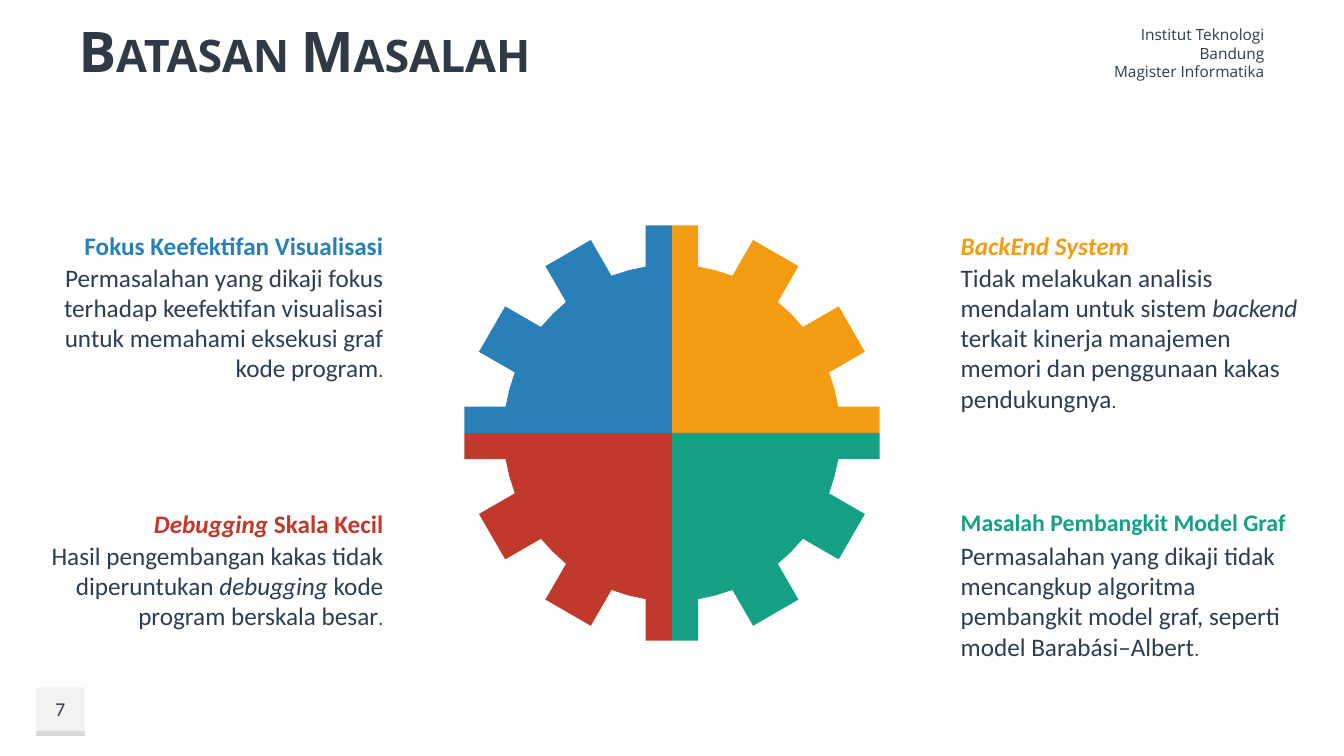
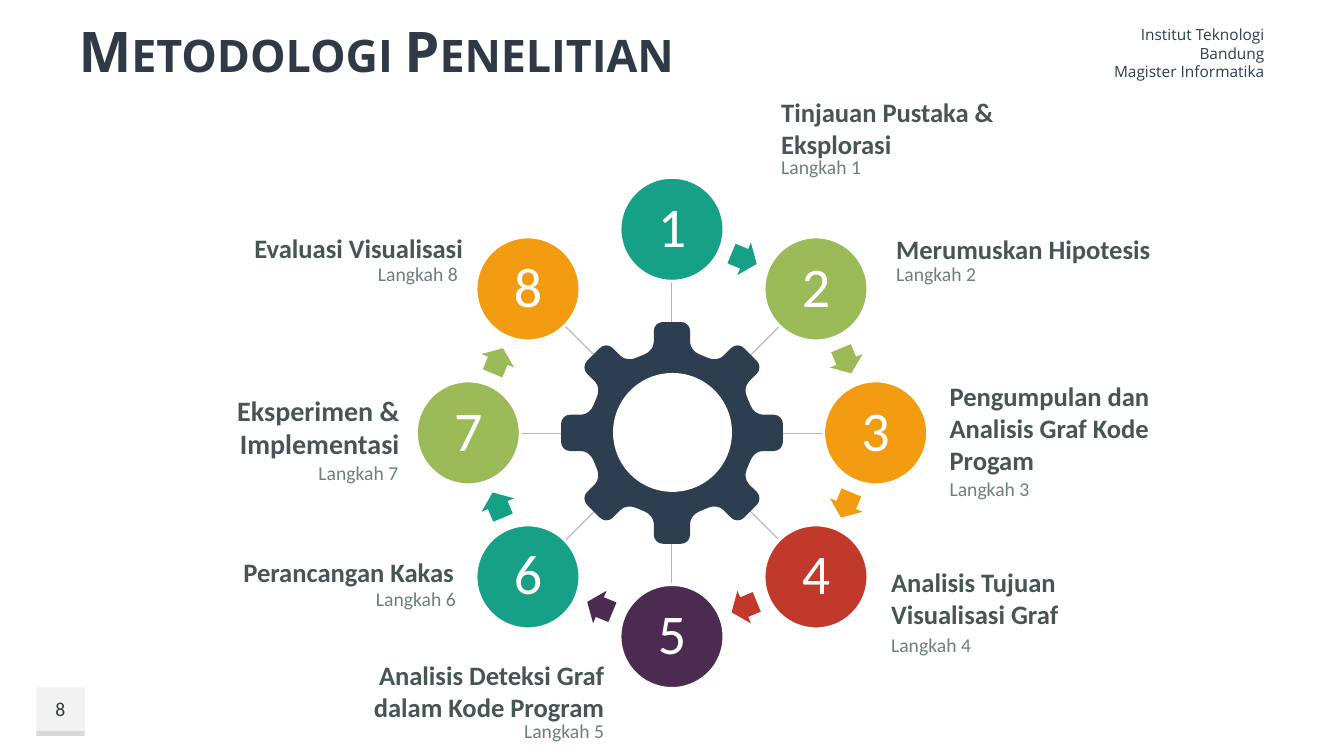
from lxml import etree
from pptx import Presentation
from pptx.dml.color import RGBColor
from pptx.enum.shapes import MSO_CONNECTOR, MSO_SHAPE
from pptx.enum.text import MSO_ANCHOR, PP_ALIGN
from pptx.oxml.ns import qn
from pptx.util import Inches, Pt

LEFT, CENTER, RIGHT = PP_ALIGN.LEFT, PP_ALIGN.CENTER, PP_ALIGN.RIGHT
TOP, MIDDLE = MSO_ANCHOR.TOP, MSO_ANCHOR.MIDDLE
RECT, OVAL, ARROW = MSO_SHAPE.RECTANGLE, MSO_SHAPE.OVAL, MSO_SHAPE.RIGHT_ARROW
STRAIGHT = MSO_CONNECTOR.STRAIGHT
rgb = RGBColor.from_string

INK, NAVY, WHITE = "2F3A46", "2C3E50", "FFFFFF"
BLUE, ORANGE, TEAL, RED = "2980B9", "F39C12", "16A085", "C0392B"
GREEN, PURPLE = "9BBB59", "4B2C50"
HEADING, STEP, SPOKE = "485556", "6C7F80", "B5B5B5"
TITLE = {"name": "Open Sans", "size": Pt(40), "bold": True}
HEADER = {"name": "Open Sans", "size": Pt(11)}
BODY = {"name": "Calibri", "size": Pt(18)}
SMALL = {"name": "Calibri", "size": Pt(14)}
DIGIT = {"name": "Calibri", "size": Pt(40)}
ITALIC = {"italic": True}
DOT = (".", {"size": Pt(14)})


def paint(sp, fill, line=None):
    """Flat fill, no shadow, optional 2 pt outline."""
    sp.shadow.inherit = False
    sp.fill.solid()
    sp.fill.fore_color.rgb = rgb(fill)
    if line:
        sp.line.color.rgb = rgb(line)
        sp.line.width = Pt(2)
    else:
        sp.line.fill.background()
    return sp


def write(sp, lines, color, fmt, align=LEFT, anchor=TOP):
    """Each line is a list of (text, format changes) runs."""
    tf = sp.text_frame
    tf.word_wrap = True
    tf.vertical_anchor = anchor
    for i, runs in enumerate(lines):
        p = tf.paragraphs[0] if i == 0 else tf.add_paragraph()
        p.alignment = align
        for text, changes in runs:
            r = p.add_run()
            r.text = text
            r.font.color.rgb = rgb(color)
            for key, value in {**fmt, **changes}.items():
                setattr(r.font, key, value)
    return tf


prs = Presentation()
prs.slide_width, prs.slide_height = Inches(13.33), Inches(7.5)

# Shared parts: page number, header panel, title
slides = []
for number, title in ((7, "Batasan Masalah"), (8, "Metodologi Penelitian")):
    s = prs.slides.add_slide(prs.slide_layouts[5])
    slides.append(s)
    for box, color in (((0.36, 6.82, 0.48, 0.48), "F2F2F2"),
                       ((0.36, 7.25, 0.48, 0.05), "D9D9D9"),
                       ((11.35, 0.1, 1.74, 0.79), WHITE)):
        panel = paint(s.shapes.add_shape(RECT, *map(Inches, box)), color)
    tint = panel._element.spPr.find(".//" + qn("a:srgbClr"))
    etree.SubElement(tint, qn("a:alpha")).set("val", "60000")

    sp = s.shapes.add_textbox(*map(Inches, (0.36, 6.82, 0.48, 0.43)))
    write(sp, [[(str(number), {})]], INK, SMALL, CENTER, MIDDLE)

    sp = s.shapes.title
    sp.left, sp.top, sp.width, sp.height = map(Inches, (0.68, 0.16, 10.5, 0.68))
    tf = write(sp, [[(title, {})]], INK, TITLE, LEFT, MIDDLE)
    tf.paragraphs[0].runs[0].font._element.set("cap", "small")

    sp = s.shapes.add_shape(RECT, *map(Inches, (10.92, 0.29, 1.72, 0.47)))
    write(paint(sp, WHITE),
          [[("Institut Teknologi Bandung", {})], [("Magister Informatika", {})]],
          NAVY, HEADER, RIGHT, MIDDLE)

# Points are complex numbers: 1j ** (angle / 90) turns them clockwise
center = complex(13.33 / 2, 8.59 / 2)

# Slide 7: gear of 12 teeth in four quarters
s = slides[0]
half, root, tip = 0.26, 1.65, 2.06
for quarter, color in enumerate((ORANGE, TEAL, RED, BLUE)):
    outline = [0j]
    for k in range(4):
        rise = [complex(-half, -root), complex(-half, -tip)] if k else [complex(0, -tip)]
        fall = [complex(half, -tip), complex(half, -root)] if k < 3 else [complex(0, -tip)]
        arc = [-1.67j * 1j ** (15 / 90)] if k < 3 else []
        outline += [p * 1j ** (quarter + k / 3) for p in rise + fall + arc]
    points = [(Inches((center + p).real), Inches((center + p).imag)) for p in outline]
    builder = s.shapes.build_freeform(*points[0])
    builder.add_line_segments(points[1:])
    paint(builder.convert_to_shape(), color)

# Slide 7: a heading and a text beside each quarter
limits = [
    (9.43, 2.24, 2.55, 1.62, LEFT, ORANGE, [("BackEnd System", ITALIC)],
     [("Tidak melakukan analisis mendalam untuk sistem ", {}), ("backend", ITALIC),
      (" terkait kinerja manajemen memori dan penggunaan kakas pendukungnya", {}), DOT]),
    (9.43, 4.99, 5.31, 1.31, LEFT, TEAL,
     [("Masalah Pembangkit Model Graf", {"size": Pt(17)})],
     [("Permasalahan yang dikaji tidak mencangkup algoritma pembangkit model graf, "
       "seperti model Barabási–Albert", {}), DOT]),
    (0.35, 2.24, 2.55, 1.31, RIGHT, BLUE, [("Fokus Keefektifan Visualisasi", {})],
     [("Permasalahan yang dikaji fokus terhadap keefektifan visualisasi untuk "
       "memahami eksekusi graf kode program", {}), DOT]),
    (0.35, 4.99, 5.31, 1.01, RIGHT, RED, [("Debugging", ITALIC), (" Skala Kecil", {})],
     [("Hasil pengembangan kakas tidak diperuntukan ", {}), ("debugging", ITALIC),
      (" kode program berskala besar", {}), DOT]),
]
for left, top, text_top, height, align, color, heading, text in limits:
    sp = s.shapes.add_textbox(*map(Inches, (left, top, 3.55, 0.4)))
    write(sp, [heading], color, {**BODY, "bold": True}, align)
    sp = s.shapes.add_textbox(*map(Inches, (left, text_top, 3.55, height)))
    write(sp, [text], NAVY, BODY, align)

# Slide 8: spokes
s = slides[1]
for ends in ((7.89, 3.08, 5.33, 5.64), (8.01, 5.64, 5.33, 2.96),
             (6.66, 6.03, 6.66, 2.47), (8.56, 4.3, 4.86, 4.3)):
    line = s.shapes.add_connector(STRAIGHT, *map(Inches, ends))
    line.line.color.rgb = rgb(SPOKE)
    line.line.width = Pt(0.75)
    etree.SubElement(line._element.spPr, qn("a:effectLst"))

# Slide 8: ring of numbered steps, an arrow after each but the last
ring = (TEAL, GREEN, ORANGE, RED, PURPLE, TEAL, GREEN, ORANGE)
for k, color in enumerate(ring):
    at = center - 2.02j * 1j ** (k / 2)
    sp = s.shapes.add_shape(OVAL, Inches(at.real - 1.03 / 2), Inches(at.imag - 1.03 / 2),
                            Inches(1.03), Inches(1.03))
    paint(sp, color, WHITE)
    sp = s.shapes.add_textbox(Inches(at.real - 0.73 / 2), Inches(at.imag - 0.73 / 2),
                              Inches(0.73), Inches(0.73))
    tf = write(sp, [[(str(k + 1), {})]], WHITE, DIGIT, CENTER, MIDDLE)
    tf.margin_left = tf.margin_right = tf.margin_top = tf.margin_bottom = Inches(0.06)
    tf.paragraphs[0].line_spacing = 0.9
    if k == len(ring) - 1:
        break
    at = center - 1.87j * 1j ** (k / 2 + 0.25)
    sp = s.shapes.add_shape(ARROW, Inches(at.real - 0.27 / 2), Inches(at.imag - 0.35 / 2),
                            Inches(0.27), Inches(0.35))
    sp.adjustments[0], sp.adjustments[1] = 0.6, 0.5
    sp.rotation = 22.5 + 45 * k
    paint(sp, color)

# Slide 8: hub gear of 8 rounded teeth, each the mirror of its right half
right = [
    0.09 - 1.1j, 0.14 - 1.1j, 0.18 - 1.06j, 0.18 - 1.01j,
    0.18 - 0.9j, 0.18 - 0.85j, 0.22 - 0.8j, 0.27 - 0.78j,
]
tooth = [-p.conjugate() for p in reversed(right)] + right
hub = [center + p * 1j ** (k / 2) for k in range(8) for p in tooth]
points = [(Inches(p.real), Inches(p.imag)) for p in hub]
builder = s.shapes.build_freeform(*points[0])
builder.add_line_segments(points[1:])
sp = paint(builder.convert_to_shape(), NAVY)

# Of every four points, the last three make one Bezier curve
outline = next(sp._element.iter(qn("a:path")))
segments = outline.findall(qn("a:lnTo"))
for i in range(0, len(segments), 4):
    curve = etree.Element(qn("a:cubicBezTo"))
    segments[i].addprevious(curve)
    for segment in segments[i:i + 3]:
        curve.append(segment[0])
        outline.remove(segment)

sp = s.shapes.add_shape(OVAL, *map(Inches, (6.08, 3.7, 1.18, 1.18)))
paint(sp, WHITE)

# Slide 8: step name (left, top, height) and step number (left, top)
steps = [
    ("Tinjauan Pustaka & Eksplorasi", 19, LEFT, (7.65, 0.9, 0.74), (7.65, 1.49)),
    ("Merumuskan Hipotesis", 19, LEFT, (8.79, 2.26, 0.42), (8.79, 2.55)),
    ("Pengumpulan dan Analisis Graf Kode Progam", 19, LEFT,
     (9.32, 3.72, 1.06), (9.32, 4.68)),
    ("Analisis Tujuan Visualisasi Graf", 19, LEFT, (8.74, 5.57, 0.74), (8.74, 6.23)),
    ("Analisis Deteksi Graf dalam Kode Program", 19, RIGHT,
     (3.25, 6.49, 0.74), (3.25, 7.08)),
    ("Perancangan Kakas", 19, RIGHT, (1.76, 5.47, 0.42), (1.78, 5.77)),
    ("Eksperimen & Implementasi", 20, RIGHT, (1.22, 3.85, 0.77), (1.21, 4.52)),
    ("Evaluasi Visualisasi", 19, RIGHT, (1.85, 2.25, 0.42), (1.8, 2.55)),
]
for number, (name, size, align, (left, top, height), step_at) in enumerate(steps, 1):
    sp = s.shapes.add_textbox(*map(Inches, (left, top, 2.84, height)))
    write(sp, [[(name, {})]], HEADING,
          {"name": "Calibri", "size": Pt(size), "bold": True}, align)
    sp = s.shapes.add_textbox(*map(Inches, (*step_at, 2.84, 0.34)))
    write(sp, [[(f"Langkah {number}", {})]], STEP, SMALL, align)

prs.save("out.pptx")
